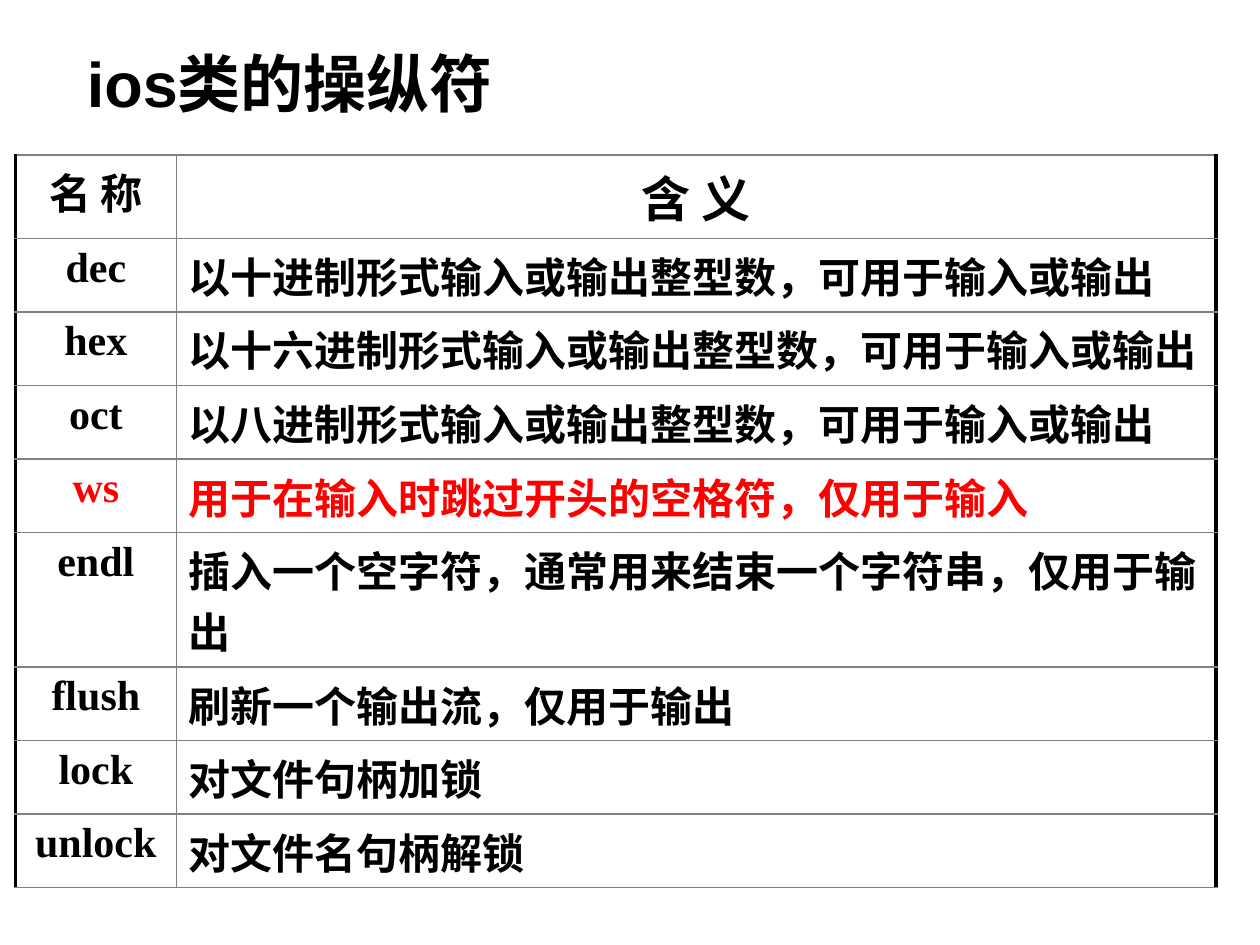
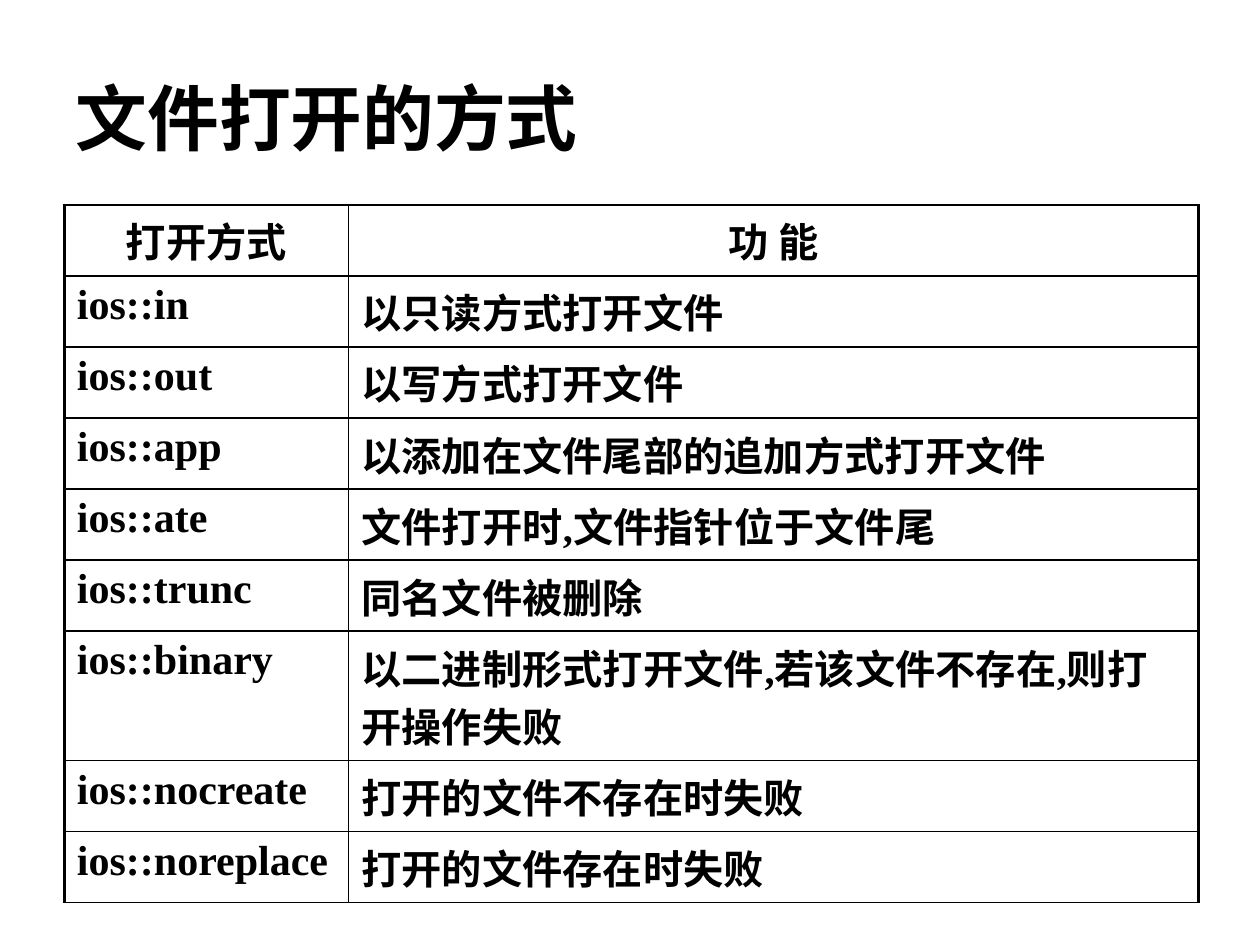
import lxml.etree
import pptx
import pptx.dml.color
import pptx.enum.text
import pptx.oxml.ns
import pptx.util

Pt = pptx.util.Pt
RGB = pptx.dml.color.RGBColor
ALIGN = pptx.enum.text.PP_ALIGN
ANCHOR = pptx.enum.text.MSO_ANCHOR

COLORS = {"text": "000000", "accent": "FF0000", "outer": "000000", "grey": "808080"}
TITLE_FONT, TABLE_FONT = "Arial", "Times New Roman"
OUTER_WIDTH, INNER_WIDTH = 2.25, 1
SPACE_BEFORE = 4

SLIDES = [
    {
        "title": "ios类的操纵符", "title_box": (42.5, 15, 595.5, 57),
        "title_size": 36, "title_anchor": ANCHOR.BOTTOM,
        "origin": (8.8, 88.5), "columns": (92, 594),
        "header_height": 41, "row_height": 36, "tall_row_height": 65,
        "header_sizes": (24, 28), "body_sizes": (24, 24),
        "name_align": ALIGN.CENTER, "grid": "grey",
        "accent_row": "ws", "tall_row": "endl",
        "header": ("名 称", "含 义"),
        "rows": [
            ("dec", "以十进制形式输入或输出整型数，可用于输入或输出"),
            ("hex", "以十六进制形式输入或输出整型数，可用于输入或输出"),
            ("oct", "以八进制形式输入或输出整型数，可用于输入或输出"),
            ("ws", "用于在输入时跳过开头的空格符，仅用于输入"),
            ("endl", "插入一个空字符，通常用来结束一个字符串，仅用于输出"),
            ("flush", "刷新一个输出流，仅用于输出"),
            ("lock", "对文件句柄加锁"),
            ("unlock", "对文件名句柄解锁"),
        ],
    },
    {
        "title": "文件打开的方式", "title_box": (36, 21.6, 648, 90),
        "title_size": 41, "title_anchor": ANCHOR.MIDDLE,
        "origin": (36.8, 117), "columns": (162.5, 485.5),
        "header_height": 36.5, "row_height": 36.5, "tall_row_height": 65.5,
        "header_sizes": (23, 23), "body_sizes": (24, 23),
        "name_align": ALIGN.LEFT, "grid": "outer",
        "accent_row": None, "tall_row": "ios::binary",
        "header": ("打开方式", "功 能"),
        "rows": [
            ("ios::in", "以只读方式打开文件"),
            ("ios::out", "以写方式打开文件"),
            ("ios::app", "以添加在文件尾部的追加方式打开文件"),
            ("ios::ate", "文件打开时,文件指针位于文件尾"),
            ("ios::trunc", "同名文件被删除"),
            ("ios::binary", "以二进制形式打开文件,若该文件不存在,则打开操作失败"),
            ("ios::nocreate", "打开的文件不存在时失败"),
            ("ios::noreplace", "打开的文件存在时失败"),
        ],
    },
]


def write(tf, text, font, size, color, align):
    tf.text = text
    p = tf.paragraphs[0]
    p.alignment = align
    r = p.runs[0]
    r.font.name, r.font.size, r.font.bold = font, Pt(size), True
    r.font.color.rgb = RGB.from_string(COLORS[color])
    return p


def add_title(s, spec):
    sp = s.shapes.title
    sp.left, sp.top, sp.width, sp.height = map(Pt, spec["title_box"])
    tf = sp.text_frame
    tf.word_wrap = True
    tf.auto_size = pptx.enum.text.MSO_AUTO_SIZE.NONE
    tf.vertical_anchor = spec["title_anchor"]
    write(tf, spec["title"], TITLE_FONT, spec["title_size"], "text", ALIGN.LEFT)


def set_borders(cell, outer_side, grid):
    """Draw the grid on all four sides, heavier on the table's outer side."""
    qn = pptx.oxml.ns.qn
    tc_pr = cell._tc.get_or_add_tcPr()
    for i, side in enumerate("LRTB"):
        outer = side == outer_side
        width = Pt(OUTER_WIDTH if outer else INNER_WIDTH)
        ln = lxml.etree.Element(qn("a:ln" + side), w=str(width))
        fill = lxml.etree.SubElement(ln, qn("a:solidFill"))
        color = COLORS["outer" if outer else grid]
        lxml.etree.SubElement(fill, qn("a:srgbClr"), val=color)
        tc_pr.insert(i, ln)


def add_table(s, spec):
    rows = [spec["header"], *spec["rows"]]
    heights = [spec["header_height"]] + [
        spec["tall_row_height" if name == spec["tall_row"] else "row_height"]
        for name, _ in spec["rows"]]
    box = (*spec["origin"], sum(spec["columns"]), sum(heights))
    table = s.shapes.add_table(len(rows), 2, *map(Pt, box)).table
    table.first_row = table.horz_banding = False
    for column, width in zip(table.columns, spec["columns"]):
        column.width = Pt(width)
    for i, (texts, height) in enumerate(zip(rows, heights)):
        table.rows[i].height = Pt(height)
        sizes = spec["body_sizes" if i else "header_sizes"]
        aligns = (spec["name_align"], ALIGN.LEFT) if i else (ALIGN.CENTER,) * 2
        color = "accent" if texts[0] == spec["accent_row"] else "text"
        for j, text in enumerate(texts):
            cell = table.cell(i, j)
            cell.fill.background()
            set_borders(cell, "LR"[j], spec["grid"])
            p = write(cell.text_frame, text, TABLE_FONT, sizes[j], color, aligns[j])
            p.space_before = Pt(SPACE_BEFORE)


def main():
    prs = pptx.Presentation()
    prs.slide_width, prs.slide_height = Pt(720), Pt(540)
    title_only = prs.slide_layouts[5]
    for content in SLIDES:
        s = prs.slides.add_slide(title_only)
        add_title(s, content)
        add_table(s, content)
    prs.save("out.pptx")


if __name__ == "__main__":
    main()
